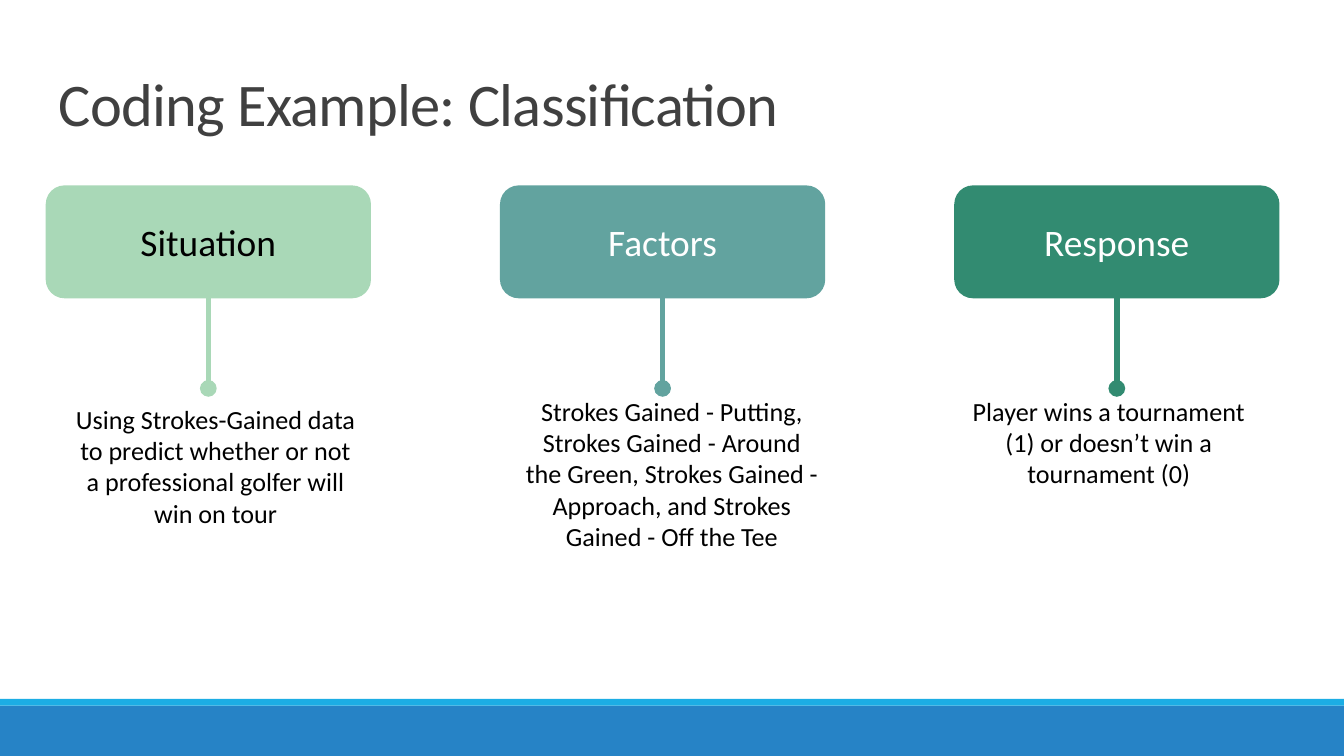
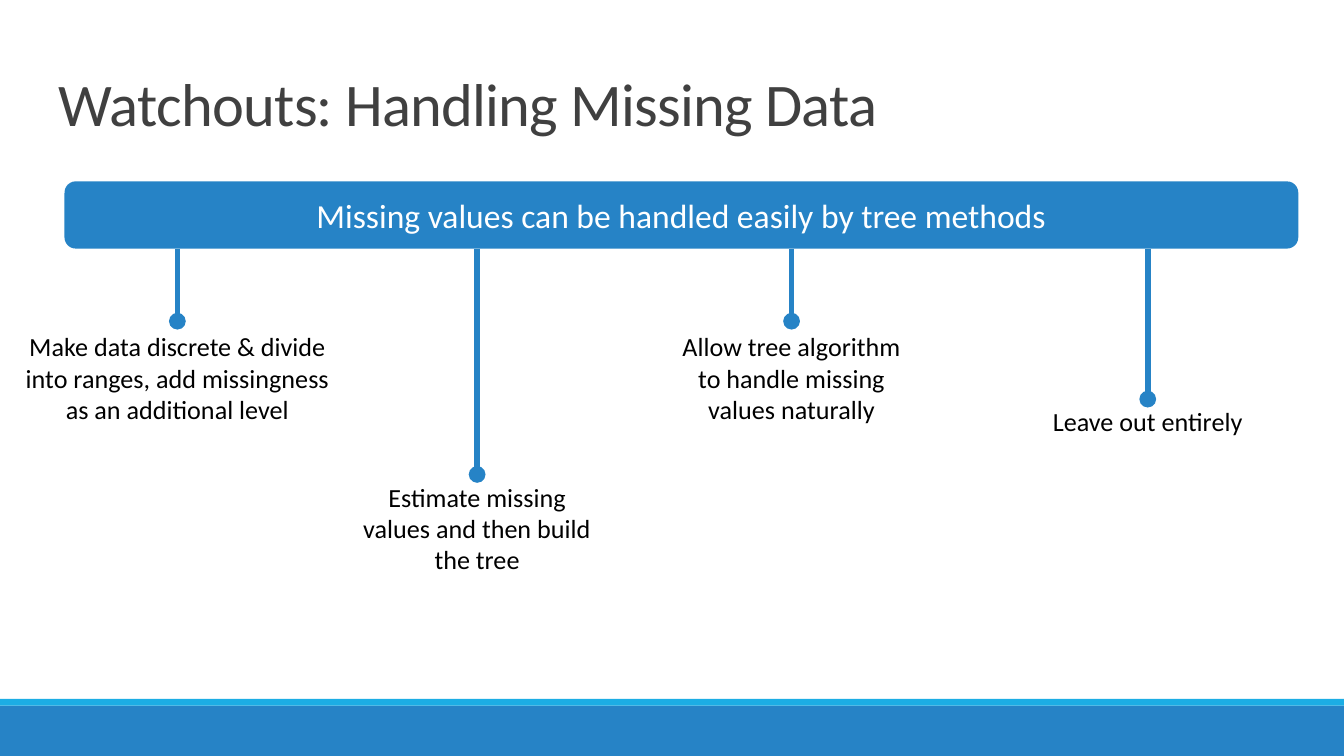
from dataclasses import dataclass

from lxml.etree import SubElement
from pptx import Presentation
from pptx.dml.color import RGBColor
from pptx.enum.shapes import MSO_CONNECTOR, MSO_SHAPE
from pptx.enum.text import MSO_ANCHOR, PP_ALIGN
from pptx.oxml.ns import qn
from pptx.util import Inches, Pt

FONT = "Calibri"
COLORS = {
    "band": "2683C6",
    "stripe": "1CADE4",
    "title": "404040",
    "mint": "A9D8B7",
    "teal": "62A39F",
    "green": "328B71",
    "black": "000000",
    "white": "FFFFFF",
}
# The page is a grid of 100 columns by 56.25 rows of square cells.
COLUMNS, ROWS = 100, 56.25
CELL = Inches(10) / COLUMNS


def cells(count):
    return round(count * CELL)


@dataclass
class Box:
    """An area of the page, measured in grid cells."""
    left: float
    top: float
    width: float
    height: float

    def inside(self, left, top, width, height):
        return Box(self.left + left, self.top + top, width, height)

    def place(self):
        return [cells(n) for n in (self.left, self.top, self.width, self.height)]


PAGE = Box(0, 0, COLUMNS, ROWS)


def color(name):
    return RGBColor.from_string(COLORS[name])


def write(shape, text, size, ink, align=PP_ALIGN.CENTER, anchor=MSO_ANCHOR.TOP):
    frame = shape.text_frame
    frame.word_wrap = True
    frame.vertical_anchor = anchor
    para = frame.paragraphs[0]
    para.text = text
    para.alignment = align
    para.font.name = FONT
    para.font.size = Pt(size)
    para.font.color.rgb = color(ink)
    return para


def add_panel(page, box, fill, preset=MSO_SHAPE.RECTANGLE):
    panel = page.shapes.add_shape(preset, *box.place())
    panel.shadow.inherit = False
    panel.fill.solid()
    panel.fill.fore_color.rgb = color(fill)
    panel.line.fill.background()
    return panel


def add_card(page, box, text, size, fill, ink="white"):
    card = add_panel(page, box, fill, MSO_SHAPE.ROUNDED_RECTANGLE)
    write(card, text, size, ink, anchor=MSO_ANCHOR.MIDDLE)


def add_pin(page, box, name, ends=("tailEnd",)):
    """Draw a vertical line down the box's left edge, with round ends."""
    left, top, _, height = box.place()
    pin = page.shapes.add_connector(
        MSO_CONNECTOR.STRAIGHT, left, top, left, top + height)
    pin.line.color.rgb = color(name)
    pin.line.width = Pt(3)
    line = pin.line._get_or_add_ln()
    for end in ends:
        SubElement(line, qn("a:" + end), type="oval")
    SubElement(pin._element.spPr, qn("a:effectLst"))


def add_note(page, box, text):
    write(page.shapes.add_textbox(*box.place()), text, 14, "black")


def add_title(page, box, text):
    title = page.shapes.add_textbox(*box.place())
    frame = title.text_frame
    frame.margin_left = frame.margin_right = cells(1)
    frame.margin_top = frame.margin_bottom = cells(1)
    para = write(title, text, 32.4, "title", PP_ALIGN.LEFT, MSO_ANCHOR.MIDDLE)
    para.line_spacing = 0.85
    para.runs[0].font._element.set("spc", "-40")


def add_footer(page, box):
    add_panel(page, box.inside(0, 0.5, box.width, box.height - 0.5), "band")
    add_panel(page, box.inside(0, 0, box.width, 0.5), "stripe")


def add_page(deck, title):
    page = deck.slides.add_slide(deck.slide_layouts[6])
    add_footer(page, PAGE.inside(0, 52, COLUMNS, ROWS - 52))
    add_title(page, PAGE.inside(3.4, 4.9, 93.2, 6.3), title)
    return page


def add_column(page, box, heading, fill, ink, note, note_area):
    add_card(page, box.inside(0, 0, box.width, 8.4), heading, 20, fill, ink)
    add_pin(page, box.inside(box.width / 2, 7.6, 0, 7.5), fill,
            ("headEnd", "tailEnd"))
    add_note(page, box.inside(*note_area), note)


def build_classification(deck):
    page = add_page(deck, "Coding Example: Classification")
    columns = [
        ("Situation", "mint", "black",
         "Using Strokes-Gained data to predict whether or not a professional "
         "golfer will win on tour", (1, 15.7, 23.3, 10.4)),
        ("Factors", "teal", "white",
         "Strokes Gained - Putting, Strokes Gained - Around the Green, "
         "Strokes Gained - Approach, and Strokes Gained - Off the Tee",
         (0.7, 15.1, 24.2, 12.8)),
        ("Response", "green", "white",
         "Player wins a tournament (1) or doesn’t win a tournament (0)",
         (-0.6, 15.1, 24.2, 8.1)),
    ]
    area = PAGE.inside(3.4, 13.8, 91.8, 28)
    width = 24.2
    pitch = (area.width - width) / (len(columns) - 1)
    for index, column in enumerate(columns):
        add_column(page, area.inside(index * pitch, 0, width, area.height), *column)


def add_branch(page, box, drop, gap, text):
    """Hang a note under a pin that drops from the middle of the box's top."""
    add_pin(page, box.inside(box.width / 2, 0, 0, drop), "band")
    add_note(page, box.inside(0, drop + gap, box.width, box.height), text)


def build_missing_data(deck):
    page = add_page(deck, "Watchouts: Handling Missing Data")
    bar = PAGE.inside(4.8, 13.5, 91.8, 5)
    add_card(page, bar, "Missing values can be handled easily by tree methods",
             18, "band")
    branches = [
        (13.2, 24.9, 8.1, 5.4, 0.2,
         "Make data discrete & divide into ranges, add missingness "
         "as an additional level"),
        (35.5, 19.3, 8.1, 16.8, 0,
         "Estimate missing values and then build the tree"),
        (58.9, 19.3, 8.1, 5.4, 0.2,
         "Allow tree algorithm to handle missing values naturally"),
        (85.4, 19.3, 3.4, 11.2, 0, "Leave out entirely"),
    ]
    for center, width, height, drop, gap, text in branches:
        left = center - width / 2 - bar.left
        add_branch(page, bar.inside(left, bar.height, width, height),
                   drop, gap, text)


def main():
    deck = Presentation()
    deck.slide_width, deck.slide_height = cells(COLUMNS), cells(ROWS)
    build_classification(deck)
    build_missing_data(deck)
    deck.save("out.pptx")


if __name__ == "__main__":
    main()
